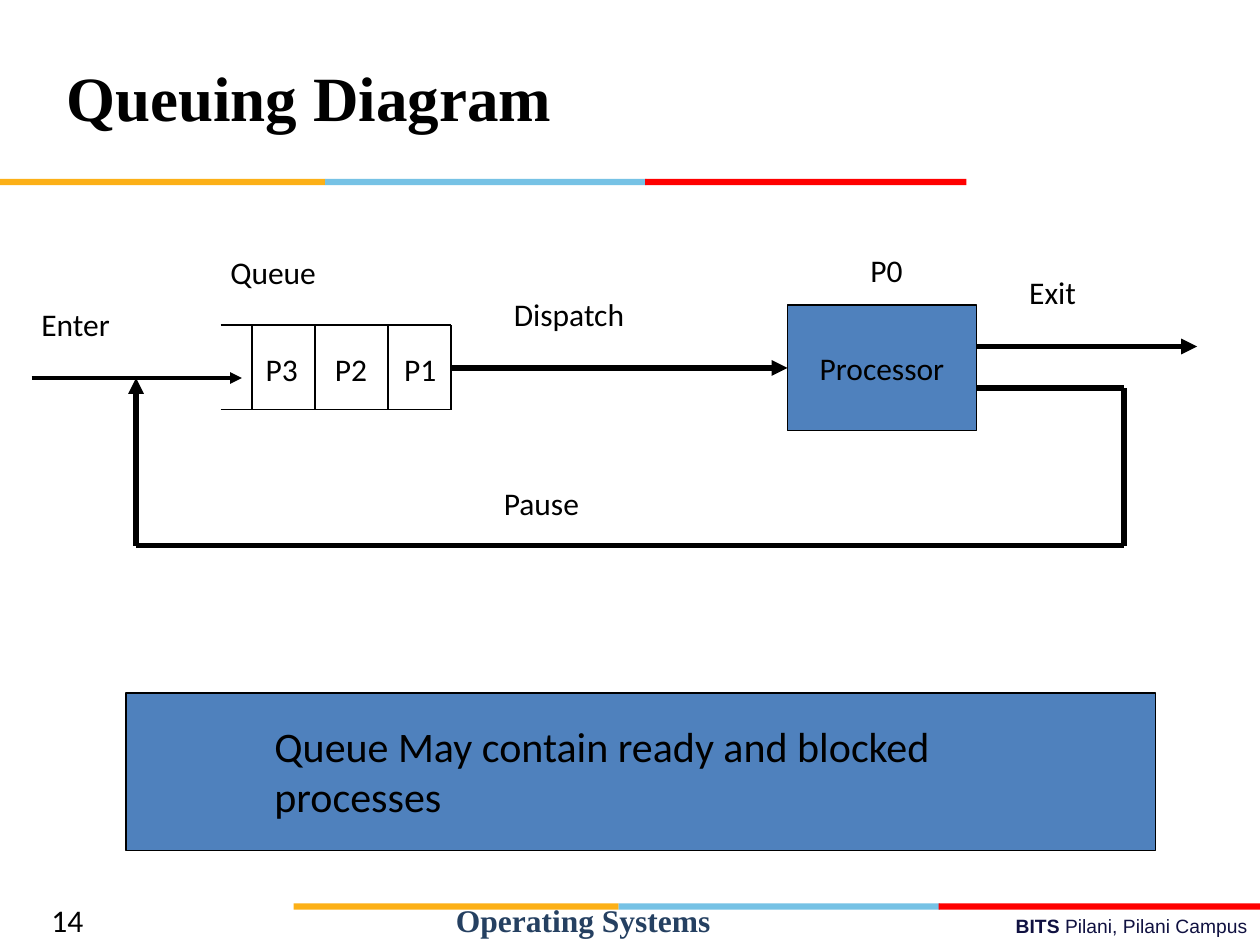
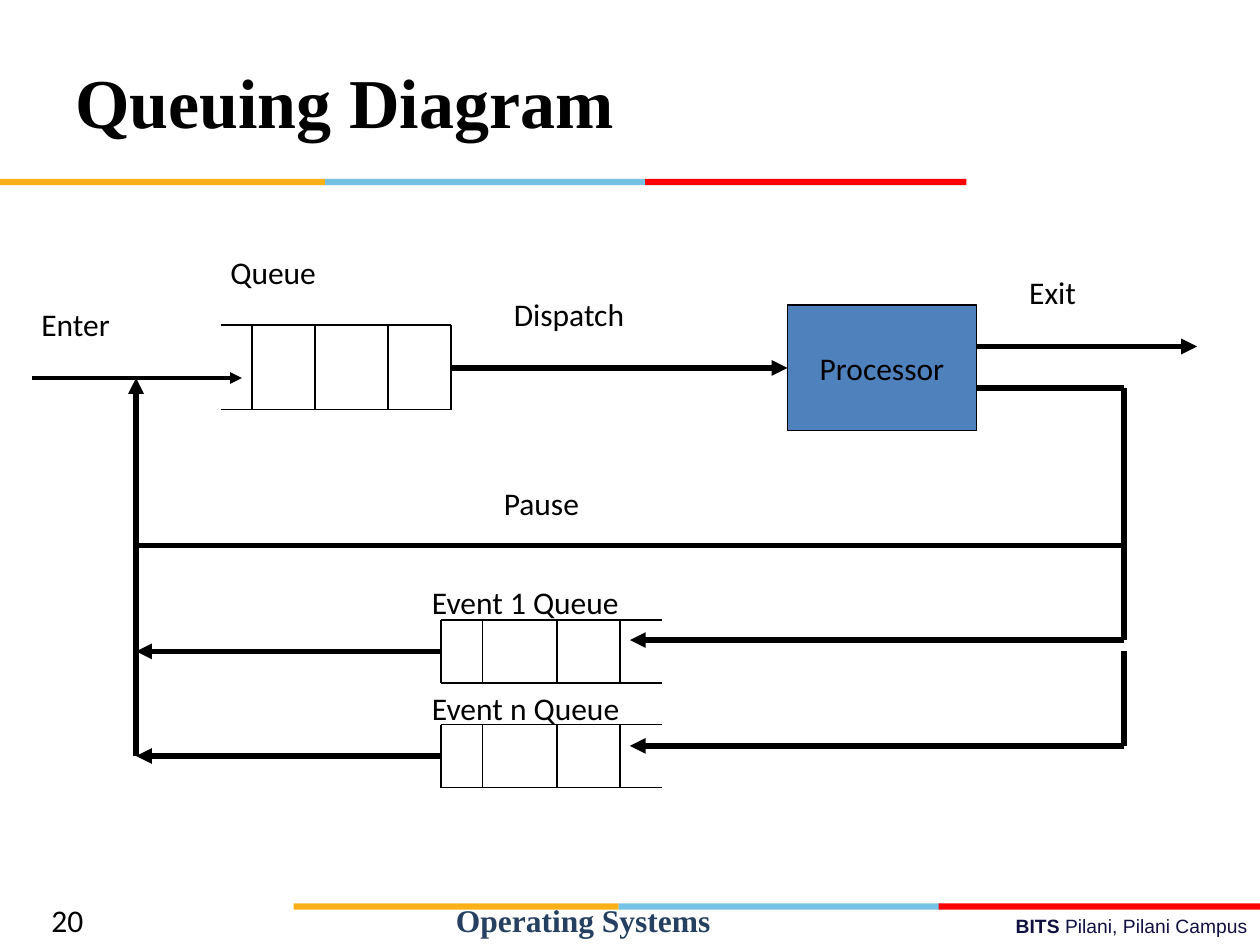
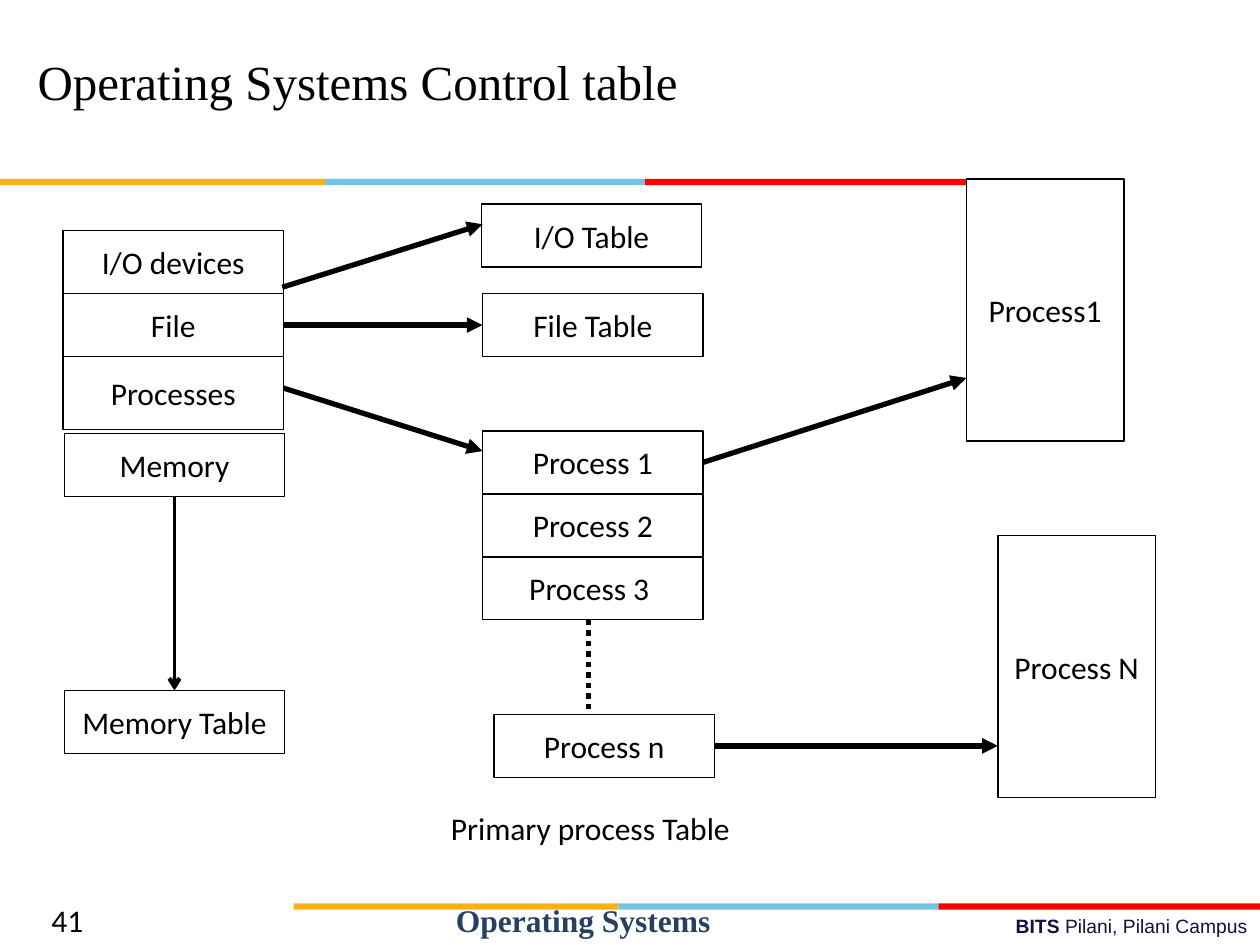
from lxml import etree
from pptx import Presentation
from pptx import util as u
from pptx.dml.color import RGBColor
from pptx.enum import dml, shapes, text
from pptx.oxml.ns import qn

BLACK = RGBColor(0x00, 0x00, 0x00)
WHITE = RGBColor(0xFF, 0xFF, 0xFF)
ORANGE = RGBColor(0xFC, 0xB0, 0x17)
SKY = RGBColor(0x76, 0xC2, 0xE5)
RED = RGBColor(0xFF, 0x00, 0x00)
BLUE = RGBColor(0x4F, 0x81, 0xBD)
NAVY = RGBColor(0x25, 0x40, 0x61)
INK = RGBColor(0x10, 0x11, 0x41)

SERIF = "Times New Roman"
LEFT, CENTER, RIGHT = text.PP_ALIGN.LEFT, text.PP_ALIGN.CENTER, text.PP_ALIGN.RIGHT
TOP, MIDDLE = text.MSO_ANCHOR.TOP, text.MSO_ANCHOR.MIDDLE


def add_box(slide, at, runs=(), fill=None, edge=False, wrap=False,
            align=LEFT, anchor=TOP, size=18, face="Calibri", color=BLACK, bold=False):
    place = [u.Inches(length) for length in at]
    if fill is not None or edge:
        box = slide.shapes.add_shape(shapes.MSO_SHAPE.RECTANGLE, *place)
        box.shadow.inherit = False
        if fill is not None:
            box.fill.solid()
            box.fill.fore_color.rgb = fill
        else:
            box.fill.background()
        if edge:
            box.line.color.rgb = BLACK
            box.line.width = u.Pt(0.75)
        else:
            box.line.fill.background()
    else:
        box = slide.shapes.add_textbox(*place)
    box.text_frame.word_wrap = wrap
    box.text_frame.vertical_anchor = anchor
    paragraph = box.text_frame.paragraphs[0]
    paragraph.alignment = align
    for words, heavy in [(runs, bold)] if isinstance(runs, str) else runs:
        run = paragraph.add_run()
        run.text = words
        run.font.color.rgb = color
        for name, value in {"size": u.Pt(size), "name": face, "bold": heavy}.items():
            setattr(run.font, name, value)
    return box


def add_line(slide, points, width=3, arrow=None, dash=None):
    line = slide.shapes.add_connector(
        shapes.MSO_CONNECTOR.STRAIGHT, *[u.Inches(length) for length in points])
    line.line.color.rgb = BLACK
    line.line.width = u.Pt(width)
    if dash:
        line.line.dash_style = dash
    if arrow:
        etree.SubElement(line.line._get_or_add_ln(), qn("a:tailEnd"), type=arrow)
    etree.SubElement(line._element.spPr, qn("a:effectLst"))
    return line


deck = Presentation()
deck.slide_width, deck.slide_height = u.Inches(10), u.Inches(7.5)

pages = []
for number, title, title_at, title_format in [
    ("14", "Queuing Diagram", (0.43, 0.3, 6.69, 0.93),
     {"size": 36, "bold": True, "anchor": MIDDLE}),
    ("20", "Queuing Diagram", (0.5, 0.42, 9, 0.75),
     {"size": 40, "bold": True, "anchor": MIDDLE}),
    ("41", "Operating Systems Control table", (0.2, 0.36, 6.97, 0.57), {"size": 28}),
]:
    page = deck.slides.add_slide(deck.slide_layouts[6])
    pages.append(page)
    add_box(page, (3.58, 7.21, 6.42, 0.29),
            [("BITS ", True), ("Pilani, Pilani Campus", False)],
            wrap=True, align=RIGHT, size=11, face="Arial", color=INK)
    for band_left, band_top in [(2.33, 7.17), (0, 1.42)]:
        for offset, width, color in [(0, 2.58, ORANGE), (2.58, 2.55, SKY), (5.12, 2.55, RED)]:
            add_box(page, (band_left + offset, band_top, width, 0.05), fill=color)
    add_box(page, (3.52, 7.1, 2.58, 0.4), "Operating Systems",
            wrap=True, face=SERIF, color=NAVY, bold=True)
    add_box(page, (0.31, 7.1, 1.02, 0.4), number, wrap=True)
    add_box(page, title_at, title, wrap=True, face=SERIF, **title_format)

single_queue, event_queues, control_tables = pages

ready_queue = (1.75, 3.58, 2.58, 3.25, (2, 2.5, 3.08, 3.58))
waiting_queues = [(3.5, 5.25, top, top + 0.5, (3.5, 3.83, 4.42, 4.92)) for top in (4.92, 5.75)]

for page, queues in [(single_queue, [ready_queue]),
                     (event_queues, [ready_queue] + waiting_queues)]:
    for left, right, top, bottom, dividers in queues:
        for y in (top, bottom):
            add_line(page, (left, y, right, y), 0.75)
        for x in dividers:
            add_line(page, (x, top, x, bottom), 0.75)

    processor = add_box(page, (6.25, 2.42, 1.5, 1), "Processor", fill=BLUE, edge=True,
                        align=CENTER, anchor=MIDDLE)
    add_line(page, (0.25, 3, 1.92, 3), 2.25, "triangle")
    dispatch = add_line(page, (3.58, 2.92, 6.25, 2.92), arrow="triangle")
    dispatch.end_connect(processor, 1)
    add_line(page, (7.75, 2.75, 9.5, 2.75), arrow="triangle")

    pause_route = [(7.75, 3.08), (8.92, 3.08), (8.92, 4.33), (1.08, 4.33), (1.08, 3)]
    for start, end in zip(pause_route, pause_route[1:]):
        add_line(page, start + end, arrow="triangle" if end == pause_route[-1] else None)

    for label, left, top, width in [
        ("Enter", 0.23, 2.37, 0.8), ("Dispatch", 3.98, 2.29, 1.17), ("Exit", 8.07, 2.12, 0.62),
        ("Pause", 3.9, 3.79, 0.91), ("Queue", 1.73, 1.96, 0.95),
    ]:
        add_box(page, (left, top, width, 0.4), label)

for label, left, top in [("P1", 3.11, 2.73), ("P2", 2.56, 2.73),
                         ("P3", 2.01, 2.73), ("P0", 6.81, 1.94)]:
    add_box(single_queue, (left, top, 0.46, 0.4), label)
add_box(single_queue, (1, 5.5, 8.17, 1.25), fill=BLUE, edge=True)
add_box(single_queue, (2.08, 5.67, 5.69, 0.9),
        "Queue May contain ready and blocked processes", wrap=True, size=24)

for label, label_top, feed_start, feed, back_start, back in [
    ("Event 1 Queue", 4.58, 4.33, 5.08, 4.33, 5.17),
    ("Event n Queue", 5.42, 5.17, 5.92, 5.17, 6),
]:
    add_box(event_queues, (3.33, label_top, 1.87, 0.4), label)
    add_line(event_queues, (8.92, feed_start, 8.92, feed))
    add_line(event_queues, (8.92, feed, 5, feed), arrow="triangle")
    add_line(event_queues, (1.08, back_start, 1.08, back))
    add_line(event_queues, (3.5, back, 1.08, back), arrow="triangle")

tables = {}
for label, left, top, width, height, fill in [
    ("Memory", 0.51, 3.44, 1.75, 0.5, None),
    ("I/O devices", 0.5, 1.83, 1.75, 0.5, None),
    ("File", 0.5, 2.33, 1.75, 0.5, None),
    ("Processes", 0.5, 2.83, 1.75, 0.58, None),
    ("Process 1", 3.83, 3.42, 1.75, 0.5, None),
    ("File Table", 3.83, 2.33, 1.75, 0.5, WHITE),
    ("I/O Table", 3.82, 1.62, 1.75, 0.5, None),
    ("Memory Table", 0.51, 5.48, 1.75, 0.5, None),
    ("Process 2", 3.83, 3.92, 1.75, 0.5, None),
    ("Process 3 ", 3.83, 4.42, 1.75, 0.5, None),
    ("Process n", 3.92, 5.67, 1.75, 0.5, None),
    ("Process1", 7.67, 1.42, 1.25, 2.08, None),
    ("Process N", 7.92, 4.25, 1.25, 2.08, None),
]:
    tables[label] = add_box(control_tables, (left, top, width, height), label, fill=fill,
                            edge=True, align=CENTER, anchor=MIDDLE)

for points, width, arrow, source, target in [
    ((2.24, 2.28, 3.83, 1.78), 3, "triangle", None, None),
    ((2.25, 2.58, 3.83, 2.58), 3, "triangle", ("File", 3), ("File Table", 1)),
    ((2.25, 3.08, 3.83, 3.58), 3, "triangle", None, None),
    ((5.58, 3.67, 7.67, 3), 3, "triangle", ("Process 1", 3), None),
    ((5.67, 5.92, 7.92, 5.92), 3, "triangle", ("Process n", 3), None),
    ((1.39, 3.94, 1.39, 5.48), 2.25, "arrow", ("Memory", 2), ("Memory Table", 0)),
]:
    pointer = add_line(control_tables, points, width, arrow)
    if source:
        pointer.begin_connect(tables[source[0]], source[1])
    if target:
        pointer.end_connect(tables[target[0]], target[1])

add_line(control_tables, (4.67, 4.92, 4.67, 5.67), dash=dml.MSO_LINE.ROUND_DOT)
add_box(control_tables, (3.48, 6.37, 2.7, 0.4), "Primary process Table")

deck.save("out.pptx")
